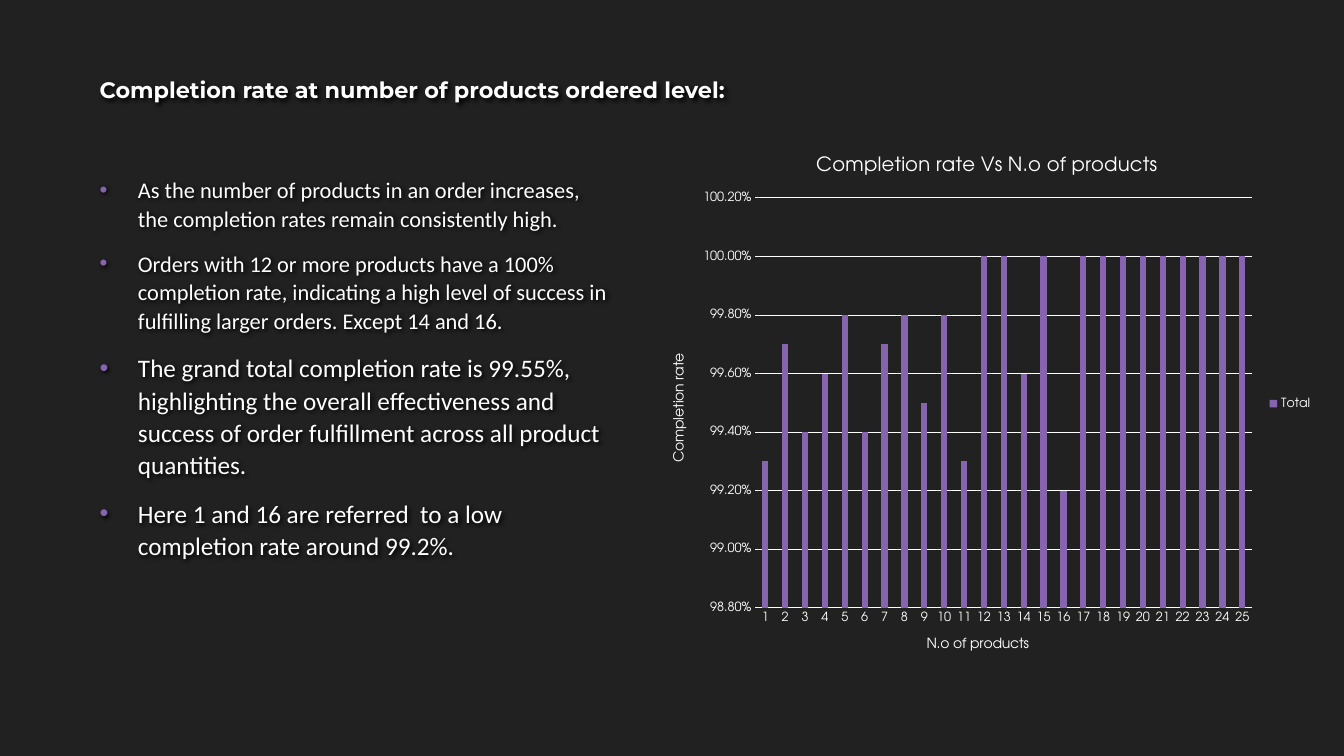
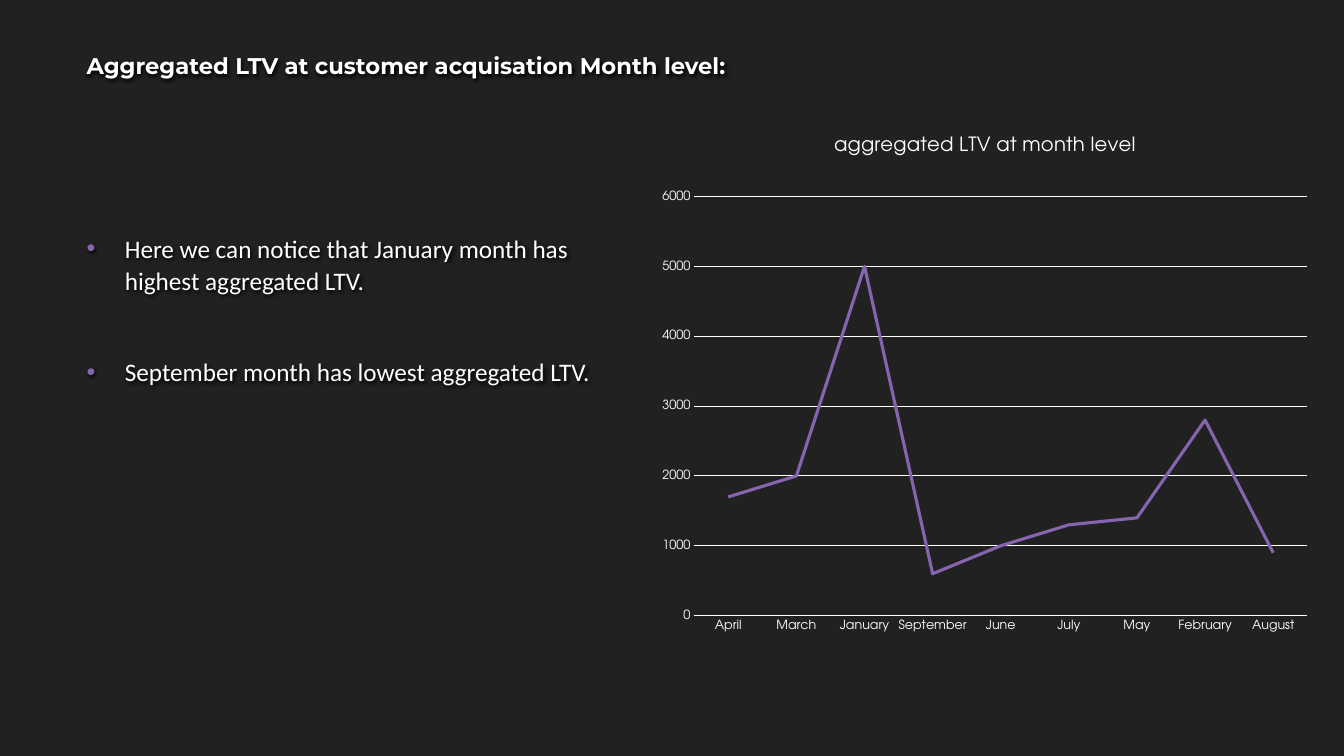
"""Build two dark slides that pair bulleted findings with a chart."""
from lxml import etree
from pptx import Presentation
from pptx.chart.data import CategoryChartData
from pptx.dml.color import RGBColor
from pptx.enum.chart import XL_CHART_TYPE, XL_LEGEND_POSITION, XL_TICK_MARK
from pptx.enum.text import MSO_ANCHOR
from pptx.oxml.ns import qn
from pptx.util import Inches, Pt

COLUMN = XL_CHART_TYPE.COLUMN_CLUSTERED
LINE = XL_CHART_TYPE.LINE
LEGEND_RIGHT = XL_LEGEND_POSITION.RIGHT
NO_TICK = XL_TICK_MARK.NONE
TOP, BOTTOM = MSO_ANCHOR.TOP, MSO_ANCHOR.BOTTOM

COLORS = {"background": "212121", "text": "FFFFFF", "accent": "8664B0", "shadow": "000000"}
TITLE_FONT, BODY_FONT, CHART_FONT = "Montserrat", "Calibri", "TeX Gyre Adventor"
INDENT = Inches(0.38)

COMPLETION_RATES = [
    0.993, 0.997, 0.994, 0.996, 0.998, 0.994, 0.997, 0.998, 0.995, 0.998, 0.993,
    1, 1, 0.996, 1, 0.992, *[1] * 9,
]
LTV_BY_MONTH = {
    "April": 1700, "March": 2000, "January": 5000, "September": 600, "June": 1000,
    "July": 1300, "May": 1400, "February": 2800, "August": 900,
}

PAGES = [
    {
        "title": "Completion rate at number of products ordered level:",
        "title_box": (0.89, 0.29, 7.48, 0.78),
        "title_size": 16,
        "body_box": (0.89, 1.68, 5.31, 4.73),
        "bullet_gap": 11.6,
        "bullets": [
            ("As the number of products in an order increases, the completion rates "
             "remain consistently high.", 16),
            ("Orders with 12 or more products have a 100% completion rate, indicating a "
             "high level of success in fulfilling larger orders. Except 14 and 16.", 16),
            ("The grand total completion rate is 99.55%, highlighting the overall "
             "effectiveness and success of order fulfillment across all product "
             "quantities.", 18),
            ("Here 1 and 16 are referred  to a low completion rate around 99.2%.", 18),
        ],
        "chart_type": COLUMN,
        "chart_box": (6.46, 1.34, 6.66, 5.33),
        "plot_layout": {"x": 0.155, "y": 0.117, "w": 0.74, "h": 0.763},
        "chart_title": "Completion rate Vs N.o of products",
        "axis_titles": ("N.o of products", "Completion rate"),
        "categories": [str(count) for count in range(1, 26)],
        "series": "Total",
        "values": COMPLETION_RATES,
        "scale": (0.988, 1.002, 0.002),
        "number_format": "0.00%",
    },
    {
        "title": "Aggregated LTV at customer acquisation Month level:",
        "title_box": (0.76, 0.27, 7.42, 0.56),
        "title_size": 16.2,
        "body_box": (0.76, 2.24, 5.31, 2.49),
        "bullet_gap": 42,
        "bullets": [
            ("Here we can notice that January month has highest aggregated LTV.", 18),
            ("September month has lowest aggregated LTV.", 18),
        ],
        "chart_type": LINE,
        "chart_box": (6.44, 1.14, 6.66, 5.23),
        "plot_layout": {"x": 0.067, "y": 0.155, "w": 0.913, "h": 0.795},
        "chart_title": "aggregated LTV at month level",
        "axis_titles": (None, None),
        "categories": list(LTV_BY_MONTH),
        "series": "Series 1",
        "values": list(LTV_BY_MONTH.values()),
        "scale": (0, 6000, 1000),
        "number_format": "0",
    },
]


def style_font(font, name, size, bold=False):
    font.name = name
    font.size = Pt(size)
    font.bold = bold
    font.color.rgb = RGBColor.from_string(COLORS["text"])


def add_text(slide, box, items, font_name, bold=False, anchor=TOP, gap=0, bulleted=False):
    shape = slide.shapes.add_textbox(*map(Inches, box))
    effects = etree.SubElement(shape._element.spPr, qn("a:effectLst"))
    shadow = etree.SubElement(effects, qn("a:outerShdw"), blurRad="38100",
                              dist="19050", dir="2700000")
    etree.SubElement(shadow, qn("a:srgbClr"), val=COLORS["shadow"])
    frame = shape.text_frame
    frame.word_wrap = True
    frame.vertical_anchor = anchor
    for index, (text, size) in enumerate(items):
        paragraph = frame.add_paragraph() if index else frame.paragraphs[0]
        paragraph.text = text
        if bulleted:
            properties = paragraph._p.get_or_add_pPr()
            properties.set("marL", str(INDENT))
            properties.set("indent", str(-INDENT))
            bullet_color = etree.SubElement(properties, qn("a:buClr"))
            etree.SubElement(bullet_color, qn("a:srgbClr"), val=COLORS["accent"])
            etree.SubElement(properties, qn("a:buFont"), typeface="Arial")
            etree.SubElement(properties, qn("a:buChar"), char="•")
            paragraph.line_spacing = 1.07
        if index:
            paragraph.space_before = Pt(gap)
        style_font(paragraph.runs[0].font, font_name, size, bold)


presentation = Presentation()
presentation.slide_width = Inches(13.33)
presentation.slide_height = Inches(7.5)
text_color = RGBColor.from_string(COLORS["text"])
accent_color = RGBColor.from_string(COLORS["accent"])

for page in PAGES:
    slide = presentation.slides.add_slide(presentation.slide_layouts[6])
    slide.background.fill.solid()
    slide.background.fill.fore_color.rgb = RGBColor.from_string(COLORS["background"])

    add_text(slide, page["title_box"], [(page["title"], page["title_size"])],
             TITLE_FONT, bold=True, anchor=BOTTOM)
    add_text(slide, page["body_box"], page["bullets"], BODY_FONT,
             gap=page["bullet_gap"], bulleted=True)

    chart_data = CategoryChartData(number_format=page["number_format"])
    chart_data.categories = page["categories"]
    chart_data.add_series(page["series"], page["values"])
    chart = slide.shapes.add_chart(
        page["chart_type"], *map(Inches, page["chart_box"]), chart_data).chart
    style_font(chart.font, CHART_FONT, 10)

    chart.has_title = True
    chart.chart_title.text_frame.text = page["chart_title"]
    style_font(chart.chart_title.text_frame.paragraphs[0].runs[0].font, CHART_FONT, 14)
    chart.chart_title.include_in_layout = False

    for axis, axis_title in zip((chart.category_axis, chart.value_axis), page["axis_titles"]):
        axis.major_tick_mark = NO_TICK
        axis.minor_tick_mark = NO_TICK
        style_font(axis.tick_labels.font, CHART_FONT, 9)
        axis.has_title = axis_title is not None
        if axis_title:
            axis.axis_title.text_frame.text = axis_title
            style_font(axis.axis_title.text_frame.paragraphs[0].runs[0].font, CHART_FONT, 10)

    value_axis = chart.value_axis
    value_axis.minimum_scale, value_axis.maximum_scale, value_axis.major_unit = page["scale"]
    value_axis.tick_labels.number_format = page["number_format"]
    value_axis.tick_labels.number_format_is_linked = False
    value_axis.format.line.fill.background()
    value_axis.has_major_gridlines = True
    for line in (chart.category_axis.format.line, value_axis.major_gridlines.format.line):
        line.color.rgb = text_color
        line.width = Pt(0.75)

    plot = chart.plots[0]
    plot.vary_by_categories = False
    series = plot.series[0]
    if page["chart_type"] == COLUMN:
        plot.gap_width = 219
        series.format.fill.solid()
        series.format.fill.fore_color.rgb = accent_color
    else:
        series.smooth = False
        series.format.line.color.rgb = accent_color
        series.format.line.width = Pt(2.25)

    chart.has_legend = page["chart_type"] == COLUMN
    if chart.has_legend:
        chart.legend.position = LEGEND_RIGHT
        chart.legend.include_in_layout = False
        style_font(chart.legend.font, CHART_FONT, 9)

    plot_area = chart.element.find(".//" + qn("c:plotArea"))
    for old_layout in plot_area.findall(qn("c:layout")):
        plot_area.remove(old_layout)
    layout = etree.Element(qn("c:layout"))
    manual = etree.SubElement(layout, qn("c:manualLayout"))
    settings = {"layoutTarget": "inner", "xMode": "edge", "yMode": "edge", **page["plot_layout"]}
    for tag, value in settings.items():
        etree.SubElement(manual, qn("c:" + tag), val=str(value))
    plot_area.insert(0, layout)

presentation.save("out.pptx")
